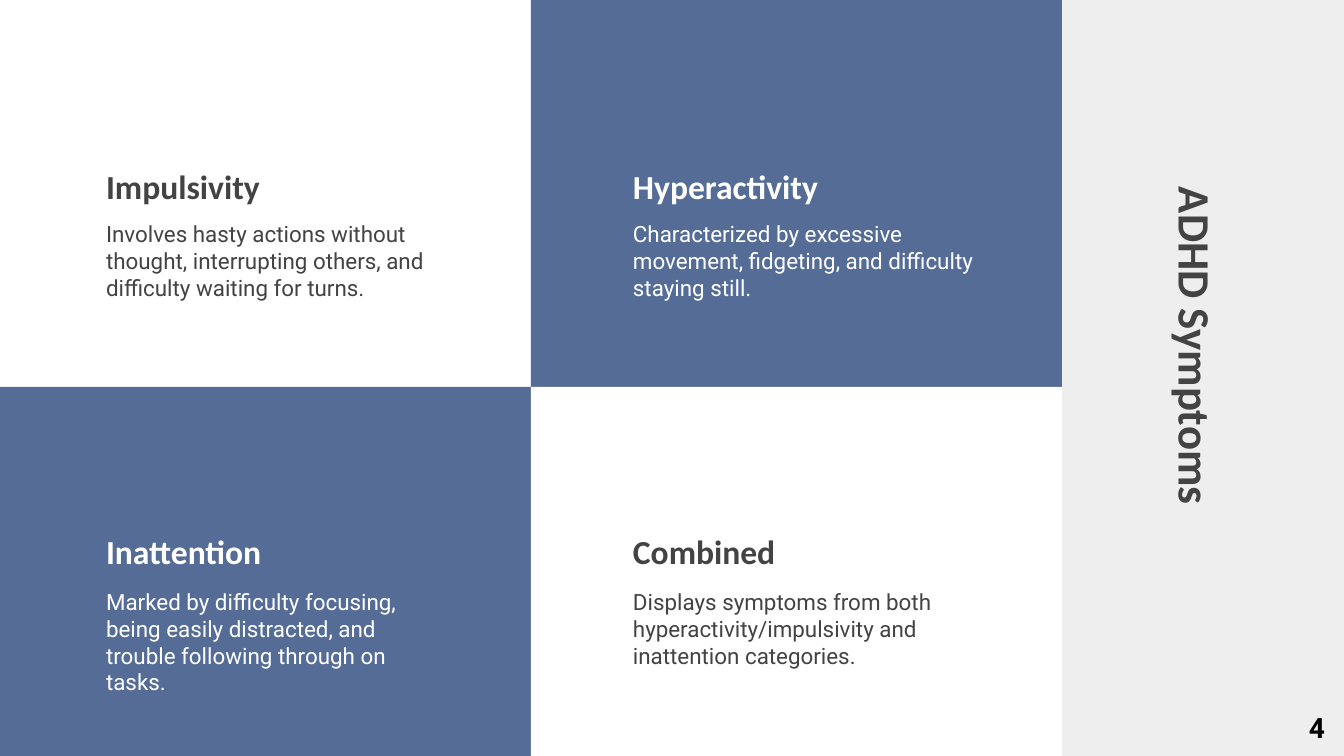
from dataclasses import dataclass

from pptx import Presentation
from pptx.dml.color import RGBColor
from pptx.enum.shapes import MSO_SHAPE
from pptx.enum.text import MSO_ANCHOR, PP_ALIGN
from pptx.util import Pt

RECTANGLE = MSO_SHAPE.RECTANGLE
TOP, MIDDLE, BOTTOM = MSO_ANCHOR.TOP, MSO_ANCHOR.MIDDLE, MSO_ANCHOR.BOTTOM
LEFT, RIGHT = PP_ALIGN.LEFT, PP_ALIGN.RIGHT


@dataclass(frozen=True)
class Theme:
    sidebar: str = "EEEEEE"
    white: str = "FFFFFF"
    blue: str = "556D96"
    ink: str = "434343"
    black: str = "000000"
    heading_font: str = "Calibri"
    body_font: str = "Roboto"
    title_size: int = 24
    heading_size: int = 18
    body_size: int = 12
    number_size: int = 15


THEME = Theme()
EMU_PER_INCH, PX_PER_INCH = 914400, 134.4
INSET = 13


def px(length):
    return round(length * EMU_PER_INCH / PX_PER_INCH)


def add_text(slide, box, text, font, size, color, bold=False, anchor=TOP, align=LEFT):
    """Place one run of text in a box given as left, top, width, height in px."""
    textbox = slide.shapes.add_textbox(*map(px, box))
    frame = textbox.text_frame
    frame.word_wrap = True
    frame.vertical_anchor = anchor
    frame.margin_left = frame.margin_right = px(INSET)
    frame.margin_top = frame.margin_bottom = px(INSET)
    paragraph = frame.paragraphs[0]
    paragraph.alignment = align
    run = paragraph.add_run()
    run.text = text
    run.font.name = font
    run.font.size = Pt(size)
    run.font.bold = bold
    run.font.color.rgb = RGBColor.from_string(color)
    return textbox


prs = Presentation()
prs.slide_width, prs.slide_height = px(1344), px(756)
slide = prs.slides.add_slide(prs.slide_layouts[6])
slide.background.fill.solid()
slide.background.fill.fore_color.rgb = RGBColor.from_string(THEME.sidebar)

title = add_text(slide, (982, 353, 429, 71), "ADHD Symptoms", THEME.heading_font,
                 THEME.title_size, THEME.ink, bold=True, anchor=MIDDLE)
title.rotation = 90

# Each column: panel left, text left, body width
COLUMNS = [(0, 93, 364), (531, 620, 380)]
PANEL_WIDTH = 531
# Each row: panel top, panel height, heading top, body top
ROWS = [(0, 387, 124, 207), (387, 369, 489, 575)]
HEADING_HEIGHT = 95

# Row, column, heading, heading width, description, description height
SYMPTOMS = [
    (0, 0, "Impulsivity", 422,
     "Involves hasty actions without thought, interrupting others, "
     "and difficulty waiting for turns.", 79),
    (0, 1, "Hyperactivity", 396,
     "Characterized by excessive movement, fidgeting, "
     "and difficulty staying still.", 110),
    (1, 0, "Inattention", 422,
     "Marked by difficulty focusing, being easily distracted, "
     "and trouble following through on tasks.", 138),
    (1, 1, "Combined", 380,
     "Displays symptoms from both hyperactivity/impulsivity "
     "and inattention categories.", 110),
]

for row, column, heading, heading_width, description, description_height in SYMPTOMS:
    panel_left, text_left, body_width = COLUMNS[column]
    panel_top, panel_height, heading_top, body_top = ROWS[row]
    # Panels alternate like a checkerboard
    if row == column:
        panel_color, text_color = THEME.white, THEME.ink
    else:
        panel_color, text_color = THEME.blue, THEME.white

    panel = slide.shapes.add_shape(
        RECTANGLE, px(panel_left), px(panel_top), px(PANEL_WIDTH), px(panel_height))
    panel.shadow.inherit = False
    panel.fill.solid()
    panel.fill.fore_color.rgb = RGBColor.from_string(panel_color)
    panel.line.fill.background()

    add_text(slide, (text_left, heading_top, heading_width, HEADING_HEIGHT), heading,
             THEME.heading_font, THEME.heading_size, text_color, bold=True, anchor=BOTTOM)
    add_text(slide, (text_left, body_top, body_width, description_height), description,
             THEME.body_font, THEME.body_size, text_color)

add_text(slide, (1258, 698, 80, 58), "4", THEME.body_font, THEME.number_size,
         THEME.black, bold=True, align=RIGHT)

prs.save("out.pptx")
